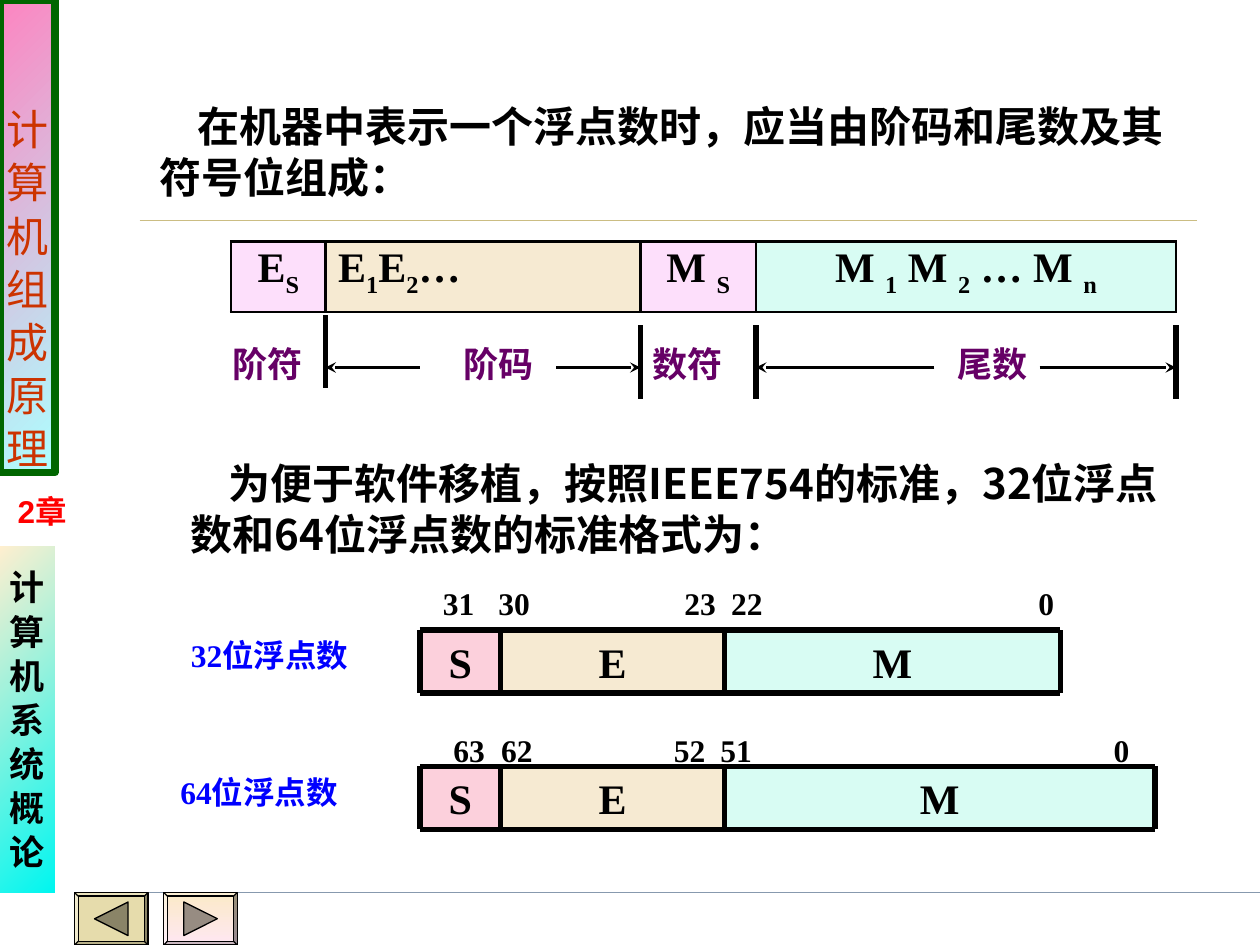
from itertools import accumulate
from pptx import Presentation
from pptx.dml.color import RGBColor
from pptx.enum.shapes import MSO_CONNECTOR, MSO_SHAPE
from pptx.enum.text import MSO_ANCHOR, PP_ALIGN
from pptx.oxml.ns import qn
from pptx.util import Inches, Pt
from lxml.etree import SubElement

TIMES, SANS, ARIAL = "Times New Roman", "Noto Sans CJK SC", "Arial"
MID = PP_ALIGN.CENTER


def tint(code):
    return RGBColor.from_string(code)


def cell(n):
    """Length on a grid of 120 columns by 90 rows (12 cells to the inch)."""
    return Inches(n / 12)


class Deck:
    base = dict(size=24, name=TIMES, bold=True, color="000000")

    def __init__(self):
        self.show = Presentation()
        self.show.slide_width, self.show.slide_height = cell(120), cell(90)
        self.page = self.show.slides.add_slide(self.show.slide_layouts[6])

    def paint(self, part, fill, ang=45):
        """Fill with one colour, or with a pair as a gradient."""
        if isinstance(fill, str):
            part.fill.solid()
            part.fill.fore_color.rgb = tint(fill)
            return
        part.fill.gradient()
        part.fill.gradient_angle = 360 - ang
        for stop, code in zip(part.fill.gradient_stops, fill):
            stop.color.rgb = tint(code)

    def label(self, frame, lines, align=None, gap=0, indent=0, tabs=(), **style):
        """Each line is a list of runs; a run that starts with _ is a subscript."""
        look = self.base | style
        for i, line in enumerate(lines):
            para = frame.add_paragraph() if i else frame.paragraphs[0]
            para.alignment = align
            para.line_spacing = Pt(look["size"] * 1.2)
            para.space_before = Pt(gap if i else 0)
            props = para._p.get_or_add_pPr()
            if indent:
                props.set("indent", str(Inches(indent)))
            if tabs:
                stops = SubElement(props, qn("a:tabLst"))
                for pos in tabs:
                    SubElement(stops, qn("a:tab"), pos=str(Inches(pos)), algn="l")
            for text in line:
                run = para.add_run()
                run.text = text.lstrip("_")
                form = dict(size=Pt(look["size"]), name=look["name"], bold=look["bold"])
                for key, value in form.items():
                    setattr(run.font, key, value)
                run.font.color.rgb = tint(look["color"])
                if text.startswith("_"):
                    run._r.get_or_add_rPr().set("baseline", "-25000")

    def text(self, x, y, w, h, text, wrap=True, **style):
        frame = self.page.shapes.add_textbox(*map(cell, (x, y, w, h))).text_frame
        frame.word_wrap = wrap
        self.label(frame, [[text]], **style)

    def shape(self, x, y, w, h, fill, kind=MSO_SHAPE.RECTANGLE, ang=45, line=None, width=0.75):
        part = self.page.shapes.add_shape(kind, *map(cell, (x, y, w, h)))
        part.shadow.inherit = False
        self.paint(part, fill, ang)
        if line:
            part.line.color.rgb = tint(line)
            part.line.width = Pt(width)
        else:
            part.line.fill.background()
        return part

    def box(self, x, y, w, h, fill, lines, anchor=MSO_ANCHOR.TOP, line=None, width=1, **style):
        part = self.shape(x, y, w, h, fill, line=line, width=width)
        frame = part.text_frame
        frame.vertical_anchor = anchor
        frame.word_wrap = False
        if anchor == MSO_ANCHOR.BOTTOM:
            frame.margin_bottom = 0
        self.label(frame, lines, align=MID, **style)

    def line(self, x, y, to_x, to_y, width=3, color="000000", arrow=False):
        part = self.page.shapes.add_connector(
            MSO_CONNECTOR.STRAIGHT, *map(cell, (x, y, to_x, to_y)))
        part.line.color.rgb = tint(color)
        part.line.width = Pt(width)
        props = part._element.spPr
        if arrow:
            SubElement(props.find(qn("a:ln")), qn("a:tailEnd"), type="stealth")
        SubElement(props, qn("a:effectLst"))

    def button(self, x, fill, mark, turn):
        part = self.shape(x, 85, 7, 5, fill, MSO_SHAPE.BEVEL, 90, "000000")
        part.adjustments[0] = 0.07
        arrow = self.shape(x + 1.9, 85.9, 3.2, 3.2, mark,
                           MSO_SHAPE.ISOSCELES_TRIANGLE, line="000000")
        arrow.rotation = turn

    def table(self, x, y, widths, high, fields):
        grid = self.page.shapes.add_table(
            1, len(widths), *map(cell, (x, y, sum(widths), high))).table
        for i, (wide, (runs, fill, align)) in enumerate(zip(widths, fields)):
            grid.columns[i].width = cell(wide)
            item = grid.cell(0, i)
            self.label(item.text_frame, [runs], align=align)
            props = item._tc.get_or_add_tcPr()
            for side in ("lnL", "lnR", "lnT", "lnB"):
                edge = SubElement(props, qn("a:" + side), w=str(Pt(1.47)))
                SubElement(SubElement(edge, qn("a:solidFill")), qn("a:srgbClr"), val="000000")
            self.paint(item, fill)


def main():
    deck = Deck()

    # Rules, side bars and page buttons
    deck.line(13.3, 21, 114, 21, 0.25, "CBBD83")
    deck.line(8, 85, 120, 85, 0.75, "8799AE")
    deck.box(0, 0, 5.2, 45, ("FD85C1", "ADFFFF"), [[c] for c in "计算机组成原理"],
             MSO_ANCHOR.BOTTOM, "006600", 4.5, gap=1.5, name=ARIAL, bold=False, color="CC3300")
    deck.box(0, 52, 5.2, 33, ("FFEFCF", "00F6F0"), [[c] for c in "计算机系统概论"],
             MSO_ANCHOR.MIDDLE, gap=1.2, size=20, name=ARIAL)
    deck.button(7.1, "E6DCAC", "8A8467", 270)
    deck.button(15.6, ("FBEAC7", "FEE7F2"), "978C82", 90)
    deck.text(0, 46.3, 8, 4.8, "2章", wrap=False, align=MID, size=18, name=ARIAL, color="FF0000")

    # Parts of a floating point number
    deck.text(14, 9, 101, 10.8, "在机器中表示一个浮点数时，应当由阶码和尾数及其符号位组成：",
              name=SANS, indent=0.3)
    for x, y in ((31, 30), (72, 31), (61, 31), (112, 31)):
        deck.line(x, y, x, y + 7)
    for x, name in ((21, "阶符"), (43, "阶码"), (61, "数符"), (90, "尾数")):
        deck.text(x, 32, 11, 5.3, name, size=20, color="660066")
    for x, end in ((40, 31), (89, 72), (99, 112), (53, 61)):
        deck.line(x, 35, end, 35, 2, arrow=True)
    deck.table(22, 23, (9, 30, 11, 40), 6.7, (
        (["E", "_S"], "FDDFFB", MID),
        (["E", "_1", "E", "_2", "…"], "F6EAD2", None),
        (["M ", "_S"], "FDDFFB", MID),
        (["M ", "_1", " M ", "_2", " … M ", "_n"], "D8FCF3", MID)))

    # Standard 32-bit and 64-bit formats
    deck.text(17, 43, 96, 10.8, "为便于软件移植，按照IEEE754的标准，32位浮点数和64位浮点数的标准格式为：",
              name=SANS, indent=0.3)
    fields = (("S", "FCD0DC"), ("E", "F6EAD2"), ("M", "D8FCF3"))
    formats = (
        (60, 32, 17, 32, 55, ((41, 12, "31\t30", (0.44,)),
                              (64, 40, "23\t22\t0", (0.37, 2.81)))),
        (73, 41, 16, 64, 69, ((42, 11, "63\t62", (0.38,)),
                              (63, 47, "52\t51\t0", (0.37, 3.49)))))
    for y, last, left, bits, top, marks in formats:
        deck.text(left, y, 19, 4.8, f"{bits}位浮点数", size=18, color="0000FF")
        for x, wide, name, tabs in marks:
            deck.text(x, top, wide, 4.8, name, size=18, tabs=tabs)
        widths = (7.7, 21.3, last)
        edges = list(accumulate(widths, initial=40))
        for x, wide, (name, fill) in zip(edges, widths, fields):
            deck.box(x, y, wide, 6, fill, [[name]])
        for x in edges:
            deck.line(x, y, x, y + 6)
        for side in (y, y + 6):
            deck.line(edges[0], side, edges[-1], side)

    deck.show.save("out.pptx")


if __name__ == "__main__":
    main()
